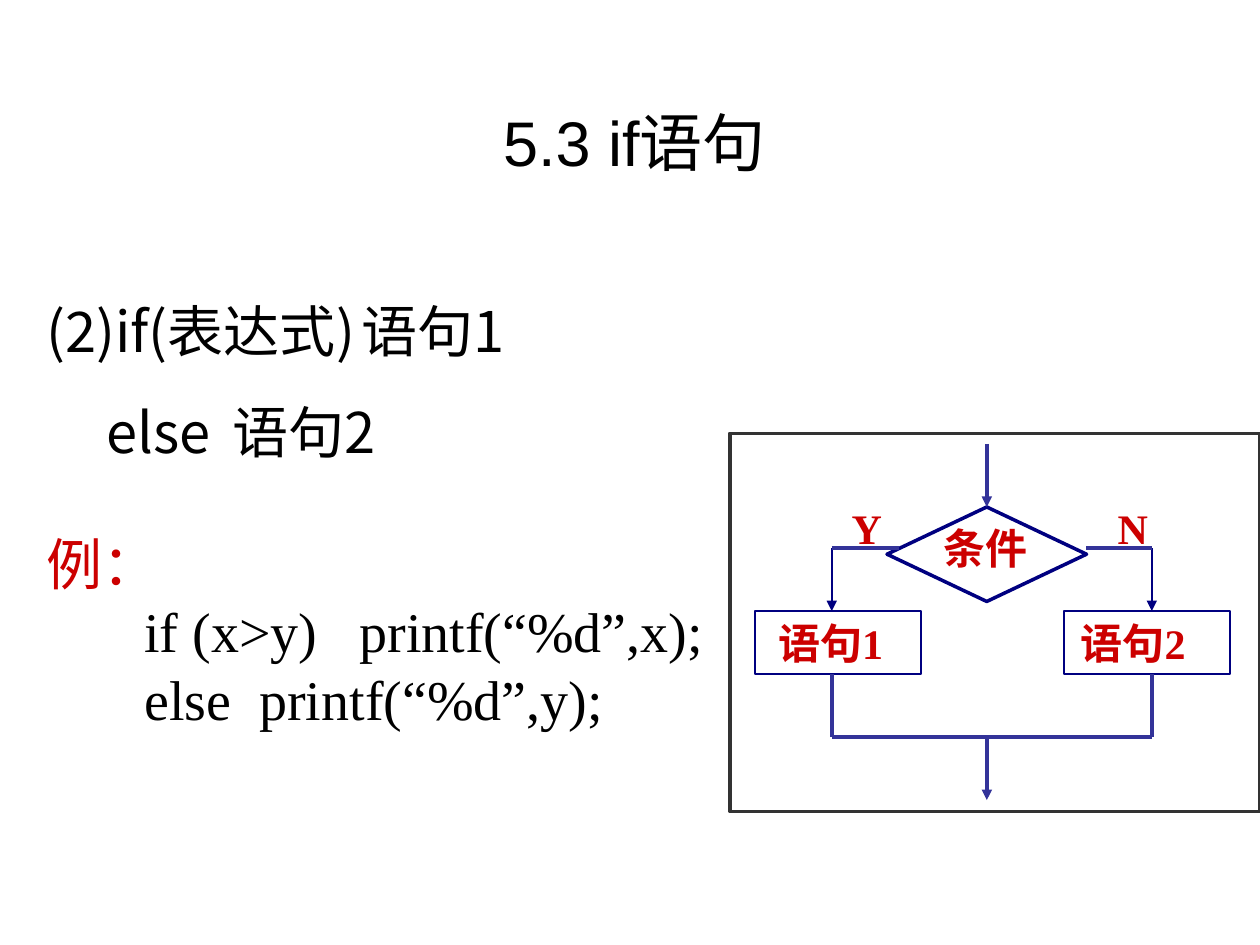
from lxml import etree
from pptx import Presentation
from pptx.dml.color import RGBColor
from pptx.enum import shapes, text
from pptx.oxml import ns
from pptx.util import Pt

BLACK = RGBColor(0, 0, 0)
WHITE = RGBColor(255, 255, 255)
RED = RGBColor(0xCC, 0, 0)
NAVY = RGBColor(0, 0, 0x80)
BLUE = RGBColor(0x33, 0x33, 0x99)
GRAY = RGBColor(0x33, 0x33, 0x33)
SANS, SERIF, HAN = "Arial", "Times New Roman", "Noto Sans CJK SC"
KIND = shapes.MSO_SHAPE


def write(para, words, size=32, font=SERIF, color=BLACK, bold=False,
          align=text.PP_ALIGN.LEFT, space=1, before=0, indent=0, tab=None):
    props = para._p.get_or_add_pPr()
    props.set("marL", str(Pt(indent)))
    props.set("indent", "0")
    if tab:
        tabs = etree.SubElement(props, ns.qn("a:tabLst"))
        etree.SubElement(tabs, ns.qn("a:tab"), pos=str(Pt(tab)), algn="l")
    para.alignment = align
    para.line_spacing = space
    if before:
        para.space_before = Pt(before)
    run = para.add_run()
    run.text = words
    run.font.size = Pt(size)
    run.font.bold = bold
    run.font.name = font
    run.font.color.rgb = color
    etree.SubElement(run._r.get_or_add_rPr(), ns.qn("a:ea"), typeface=HAN)


def frame(slide, x, y, w, h, anchor=text.MSO_ANCHOR.TOP):
    body = slide.shapes.add_textbox(Pt(x), Pt(y), Pt(w), Pt(h)).text_frame
    body.word_wrap = True
    body.vertical_anchor = anchor
    return body


def block(slide, kind, x, y, w, h, color, width, fill=None):
    shape = slide.shapes.add_shape(kind, Pt(x), Pt(y), Pt(w), Pt(h))
    shape.shadow.inherit = False
    if fill is None:
        shape.fill.background()
    else:
        shape.fill.solid()
        shape.fill.fore_color.rgb = fill
    shape.line.color.rgb = color
    shape.line.width = Pt(width)


def link(slide, x1, y1, x2, y2, color=BLUE, width=2, arrow=False):
    line = slide.shapes.add_connector(
        shapes.MSO_CONNECTOR.STRAIGHT, Pt(x1), Pt(y1), Pt(x2), Pt(y2))
    line.line.color.rgb = color
    line.line.width = Pt(width)
    if arrow:
        etree.SubElement(line.line._get_or_add_ln(), ns.qn("a:tailEnd"), type="triangle")
    etree.SubElement(line._element.spPr, ns.qn("a:effectLst"))


def title(slide, x, y, w, h):
    body = frame(slide, x, y, w, h, text.MSO_ANCHOR.MIDDLE)
    write(body.paragraphs[0], "5.3 if语句", size=36, font=SANS,
          align=text.PP_ALIGN.CENTER)


def syntax(slide, x, y, w, h):
    body = frame(slide, x, y, w, h, text.MSO_ANCHOR.MIDDLE)
    rows = [
        ("(2)if(表达式)\t语句1", dict(font=HAN, space=1.5, tab=234)),
        ("else\t语句2", dict(font=HAN, space=1.5, indent=34.5, tab=166)),
        ("例：", dict(color=RED, before=37)),
        ("       if (x>y)   printf(“%d”,x);", {}),
        ("       else  printf(“%d”,y);", {}),
    ]
    for i, (words, form) in enumerate(rows):
        para = body.add_paragraph() if i else body.paragraphs[0]
        write(para, words, **form)


def flow(slide, x, y, w, h):
    step = 36
    left, mid, right = x + 58.3, x + 146.9, x + 241.2
    top, test = y + 6, y + 42
    split = y + 65.5
    act, base, join, end = (split + step * i for i in range(1, 5))
    block(slide, KIND.RECTANGLE, x, y, w, h, GRAY, 2, WHITE)
    block(slide, KIND.FLOWCHART_DECISION, mid - 57, test, 114, 54, NAVY, 2)
    for edge in (x + 14.4, x + 190.8):
        block(slide, KIND.FLOWCHART_PROCESS, edge, act, 95, step, NAVY, 1)
    for side, tip in ((left, x + 96.5), (right, x + 203.8)):
        link(slide, side, split, side, act, NAVY, 1, True)
        link(slide, side, split, tip, split)
        link(slide, side, base, side, join)
    link(slide, left, join, right, join)
    link(slide, mid, join, mid, end, arrow=True)
    link(slide, mid, top, mid, test, arrow=True)
    labels = [
        ("条件", x + 115.2, y + 47.5, 66),
        ("语句1", x + 20.6, act, 84),
        ("语句2", x + 193.4, act, 84),
        ("Y", x + 62.6, y + step, 32),
        ("N", x + 214.6, y + step, 32),
    ]
    for words, lx, ly, lw in labels:
        body = frame(slide, lx, ly, lw, step)
        write(body.paragraphs[0], words, size=24, color=RED, bold=True)


def main():
    deck = Presentation()
    deck.slide_width, deck.slide_height = Pt(720), Pt(540)
    slide = deck.slides.add_slide(deck.slide_layouts[6])
    title(slide, 5, 36, 720 - 5, 90)
    syntax(slide, 19.4, 128.2, 482, 312)
    flow(slide, 417, 247.7, 303, 216)
    deck.save("out.pptx")


if __name__ == "__main__":
    main()
